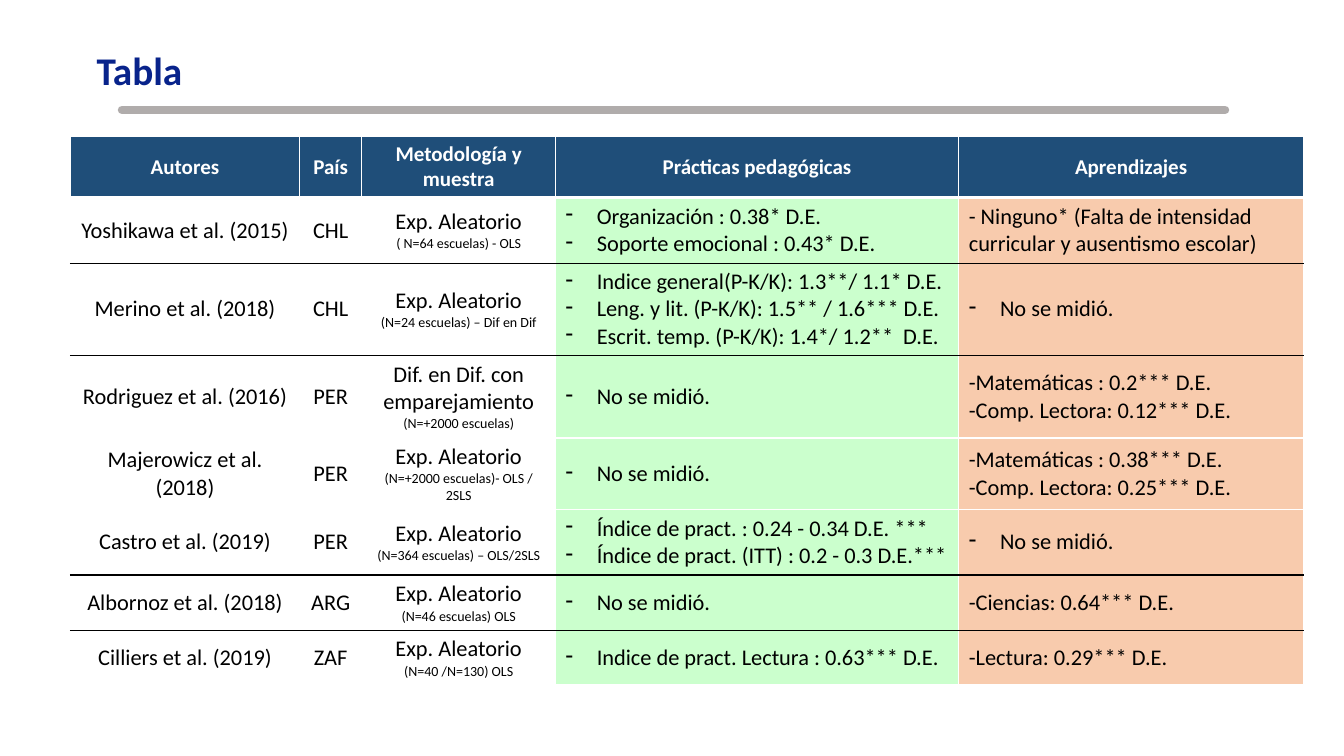
from lxml import etree
from pptx import Presentation
from pptx.dml.color import RGBColor
from pptx.enum import shapes, text
from pptx.oxml import ns
from pptx.util import Inches, Pt

NAVY = RGBColor(0x08, 0x23, 0x8B)
HEADER_BLUE = RGBColor(0x1F, 0x4E, 0x79)
GREEN = RGBColor(0xCB, 0xFF, 0xCD)
ORANGE = RGBColor(0xF8, 0xCB, 0xAD)
GRAY = RGBColor(0xB0, 0xAC, 0xAB)
WHITE = RGBColor(0xFF, 0xFF, 0xFF)
BLACK = RGBColor(0, 0, 0)

COLUMN_WIDTHS = [2.27, 0.62, 1.92, 4, 3.42]
COLUMN_FILLS = [None, None, None, GREEN, ORANGE]
ROW_HEIGHTS = [0.6, 0.65, 0.91, 0.82, 0.7, 0.65, 0.55, 0.54]
# Colour and width in points of the rule under each row
RULES = [(WHITE, 3), (BLACK, 1), (BLACK, 1), (WHITE, 1),
         (WHITE, 1), (BLACK, 1), (BLACK, 1), (WHITE, 1)]

HEADINGS = ["Autores", "País", "Metodología y muestra",
            "Prácticas pedagógicas", "Aprendizajes"]
NOT_MEASURED = "No se midió."
RANDOMISED = "Exp. Aleatorio"
# Authors, country, method, sample, practices, learning
STUDIES = [
    ("Yoshikawa et al. (2015)", "CHL", RANDOMISED, "( N=64 escuelas) - OLS",
     ["Organización : 0.38* D.E.", "Soporte emocional : 0.43* D.E."],
     ["- Ninguno* (Falta de intensidad curricular y ausentismo escolar)"]),
    ("Merino et al. (2018)", "CHL", RANDOMISED, "(N=24 escuelas) – Dif en Dif",
     ["Indice general(P-K/K): 1.3**/ 1.1* D.E.",
      "Leng. y lit. (P-K/K): 1.5** / 1.6*** D.E.",
      "Escrit. temp. (P-K/K): 1.4*/ 1.2**  D.E."],
     [NOT_MEASURED]),
    ("Rodriguez et al. (2016)", "PER", "Dif. en Dif. con emparejamiento",
     "(N=+2000 escuelas)", [NOT_MEASURED],
     ["-Matemáticas : 0.2*** D.E.", "-Comp. Lectora: 0.12*** D.E."]),
    ("Majerowicz et al. (2018)", "PER", RANDOMISED,
     "(N=+2000 escuelas)- OLS / 2SLS", [NOT_MEASURED],
     ["-Matemáticas : 0.38*** D.E.", "-Comp. Lectora: 0.25*** D.E."]),
    ("Castro et al. (2019)", "PER", RANDOMISED, "(N=364 escuelas) – OLS/2SLS",
     ["Índice de pract. : 0.24 - 0.34 D.E. ***",
      "Índice de pract. (ITT) : 0.2 - 0.3 D.E.***"],
     [NOT_MEASURED]),
    ("Albornoz et al. (2018)", "ARG", RANDOMISED, "(N=46 escuelas) OLS",
     [NOT_MEASURED], ["-Ciencias: 0.64*** D.E."]),
    ("Cilliers et al. (2019)", "ZAF", RANDOMISED, "(N=40 /N=130) OLS",
     ["Indice de pract. Lectura : 0.63*** D.E."], ["-Lectura: 0.29*** D.E."]),
]


def set_font(font, color, **formats):
    for name, value in {"name": "Calibri", **formats}.items():
        setattr(font, name, value)
    font.color.rgb = color


def add_dash(paragraph):
    properties = paragraph._p.get_or_add_pPr()
    properties.set("marL", str(Inches(0.31)))
    properties.set("indent", str(-Inches(0.31)))
    etree.SubElement(properties, ns.qn("a:buChar"), char="-")


def set_borders(cell, above, below):
    """Draw white sides and the given (colour, points) rules."""
    properties = cell._tc.get_or_add_tcPr()
    sides = {"L": (WHITE, 1), "R": (WHITE, 1), "T": above, "B": below}
    for position, (side, (color, points)) in enumerate(sides.items()):
        border = etree.Element(ns.qn(f"a:ln{side}"), w=str(Pt(points)))
        fill = etree.SubElement(border, ns.qn("a:solidFill"))
        etree.SubElement(fill, ns.qn("a:srgbClr"), val=str(color))
        properties.insert(position, border)


def fill_cell(cell, fill, lines, color=BLACK, bold=False, centered=True, dashed=False):
    """Write the (text, points) lines into the cell."""
    cell.vertical_anchor = text.MSO_ANCHOR.MIDDLE
    if fill is None:
        cell.fill.background()
    else:
        cell.fill.solid()
        cell.fill.fore_color.rgb = fill
    frame = cell.text_frame
    for index, (words, points) in enumerate(lines):
        paragraph = frame.add_paragraph() if index else frame.paragraphs[0]
        paragraph.alignment = text.PP_ALIGN.CENTER if centered else text.PP_ALIGN.LEFT
        if dashed:
            add_dash(paragraph)
        run = paragraph.add_run()
        run.text = words
        set_font(run.font, color, size=Pt(points), bold=bold)


def add_title(slide, words):
    frame = slide.shapes.add_textbox(
        Inches(0.86), Inches(0.46), Inches(11.5), Inches(0.6)).text_frame
    frame.word_wrap = True
    paragraph = frame.paragraphs[0]
    paragraph.line_spacing = 0.9
    run = paragraph.add_run()
    run.text = words
    set_font(run.font, NAVY, size=Pt(28), bold=True)


def add_title_rule(slide):
    rule = slide.shapes.add_connector(
        shapes.MSO_CONNECTOR.STRAIGHT,
        Inches(1.21), Inches(1.09), Inches(12.15), Inches(1.09))
    rule.line.color.rgb = GRAY
    rule.line.width = Pt(6)
    rule.line._get_or_add_ln().set("cap", "rnd")
    etree.SubElement(rule._element.spPr, ns.qn("a:effectLst"))


def add_studies_table(slide):
    table = slide.shapes.add_table(
        len(ROW_HEIGHTS), len(COLUMN_WIDTHS), Inches(0.7), Inches(1.35),
        Inches(sum(COLUMN_WIDTHS)), Inches(sum(ROW_HEIGHTS))).table
    for column, width in zip(table.columns, COLUMN_WIDTHS):
        column.width = Inches(width)
    for row, height in zip(table.rows, ROW_HEIGHTS):
        row.height = Inches(height)

    for cell, heading in zip(table.rows[0].cells, HEADINGS):
        fill_cell(cell, HEADER_BLUE, [(heading, 15)], color=WHITE, bold=True)

    for row, study in enumerate(STUDIES, start=1):
        authors, country, method, sample, practices, learning = study
        contents = [
            [(authors, 16)],
            [(country, 16)],
            [(method, 16), (sample, 10)],
            [(practice, 16) for practice in practices],
            [(result, 16) for result in learning],
        ]
        for column, (lines, fill) in enumerate(zip(contents, COLUMN_FILLS)):
            dashed = column == 3 or lines[0][0] == NOT_MEASURED
            fill_cell(table.cell(row, column), fill, lines,
                      centered=column < 3, dashed=dashed)

    for row, above, below in zip(table.rows, [(WHITE, 1)] + RULES, RULES):
        for cell in row.cells:
            set_borders(cell, above, below)


def main():
    presentation = Presentation()
    presentation.slide_width = Inches(13.33)
    presentation.slide_height = Inches(7.5)
    slide = presentation.slides.add_slide(presentation.slide_layouts[6])
    add_studies_table(slide)
    add_title(slide, "Tabla")
    add_title_rule(slide)
    presentation.save("out.pptx")


if __name__ == "__main__":
    main()
